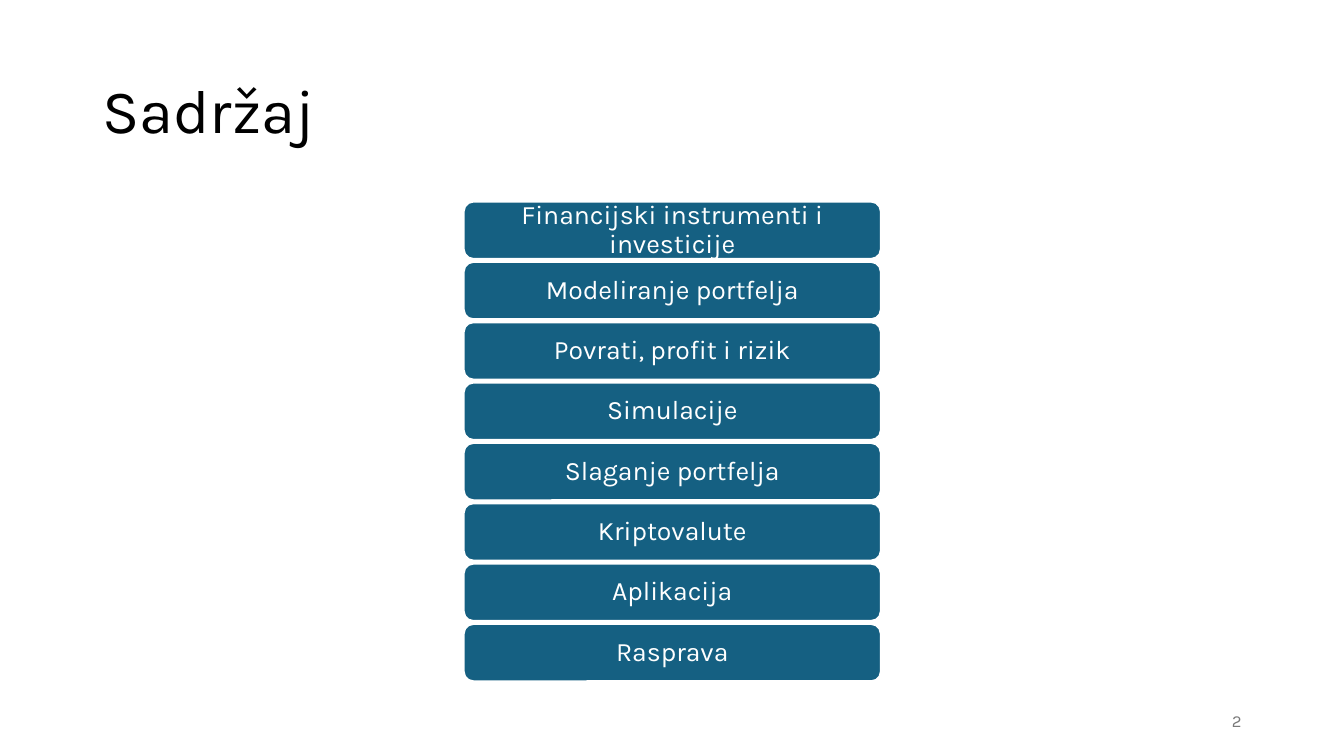
from dataclasses import dataclass

from pptx import Presentation
from pptx.dml.color import RGBColor as RGB
from pptx.enum.shapes import MSO_SHAPE as Shape
from pptx.enum.text import MSO_ANCHOR as Anchor, PP_ALIGN as Align
from pptx.util import Pt


@dataclass(frozen=True)
class Theme:
    font: str = "Karla"
    black: RGB = RGB(0x00, 0x00, 0x00)
    white: RGB = RGB(0xFF, 0xFF, 0xFF)
    blue: RGB = RGB(0x15, 0x60, 0x82)
    grey: RGB = RGB(0x79, 0x79, 0x79)
    title_size: int = 44
    topic_size: int = 19
    number_size: int = 12


@dataclass(frozen=True)
class Box:
    left: float
    top: float
    width: float
    height: float

    def lengths(self) -> list:
        return [Pt(v) for v in (self.left, self.top, self.width, self.height)]


@dataclass(frozen=True)
class Label:
    text: str
    size: int
    color: RGB
    align: Align = Align.LEFT
    spacing: float = 1.0
    inset_x: float = 7.2
    inset_y: float = 3.6


THEME = Theme()
TOPICS = (
    "Financijski instrumenti i investicije",
    "Modeliranje portfelja",
    "Povrati, profit i rizik",
    "Simulacije",
    "Slaganje portfelja",
    "Kriptovalute",
    "Aplikacija",
    "Rasprava",
)
FIRST_TOPIC = Box(331.2, 144, 298, 41)
TOPIC_PITCH = 43.1


def set_all(obj, values: dict) -> None:
    for name, value in values.items():
        setattr(obj, name, value)


def write(sp, label: Label) -> None:
    tf = sp.text_frame
    set_all(tf, {
        "word_wrap": True,
        "vertical_anchor": Anchor.MIDDLE,
        "margin_left": Pt(label.inset_x),
        "margin_right": Pt(label.inset_x),
        "margin_top": Pt(label.inset_y),
        "margin_bottom": Pt(label.inset_y),
    })
    p = tf.paragraphs[0]
    set_all(p, {"alignment": label.align, "line_spacing": label.spacing})
    r = p.add_run()
    r.text = label.text
    set_all(r.font, {"name": THEME.font, "size": Pt(label.size)})
    r.font.color.rgb = label.color


def add_text(s, box: Box, label: Label) -> None:
    write(s.shapes.add_textbox(*box.lengths()), label)


def add_topic(s, box: Box, text: str) -> None:
    sp = s.shapes.add_shape(Shape.ROUNDED_RECTANGLE, *box.lengths())
    sp.shadow.inherit = False
    sp.fill.solid()
    sp.fill.fore_color.rgb = THEME.blue
    sp.line.color.rgb = THEME.white
    sp.line.width = Pt(1.5)
    write(sp, Label(text, THEME.topic_size, THEME.white, Align.CENTER, 0.9, 5.7, 2.85))


def main() -> None:
    prs = Presentation()
    set_all(prs, {"slide_width": Pt(960), "slide_height": Pt(540)})
    s = prs.slides.add_slide(prs.slide_layouts[6])

    # Title
    add_text(s, Box(66, 28.75, 828, 104.4),
             Label("Sadržaj", THEME.title_size, THEME.black, spacing=0.9))

    # Stack of topics
    first = FIRST_TOPIC
    for i, topic in enumerate(TOPICS):
        top = first.top + i * TOPIC_PITCH
        add_topic(s, Box(first.left, top, first.width, first.height), topic)

    # Slide number
    add_text(s, Box(678, 500.5, 216, 28.75),
             Label("2", THEME.number_size, THEME.grey, Align.RIGHT))

    prs.save("out.pptx")


if __name__ == "__main__":
    main()
